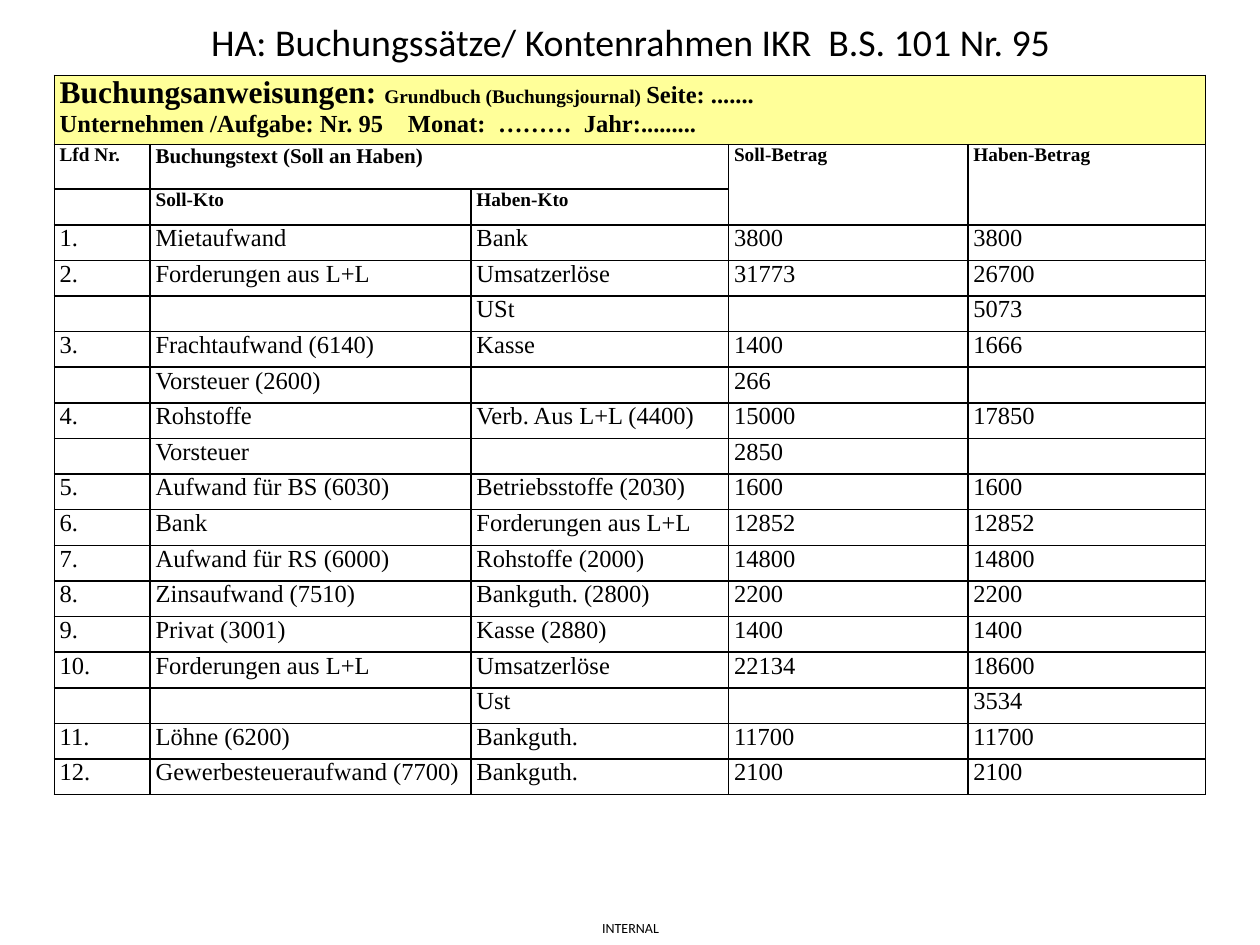
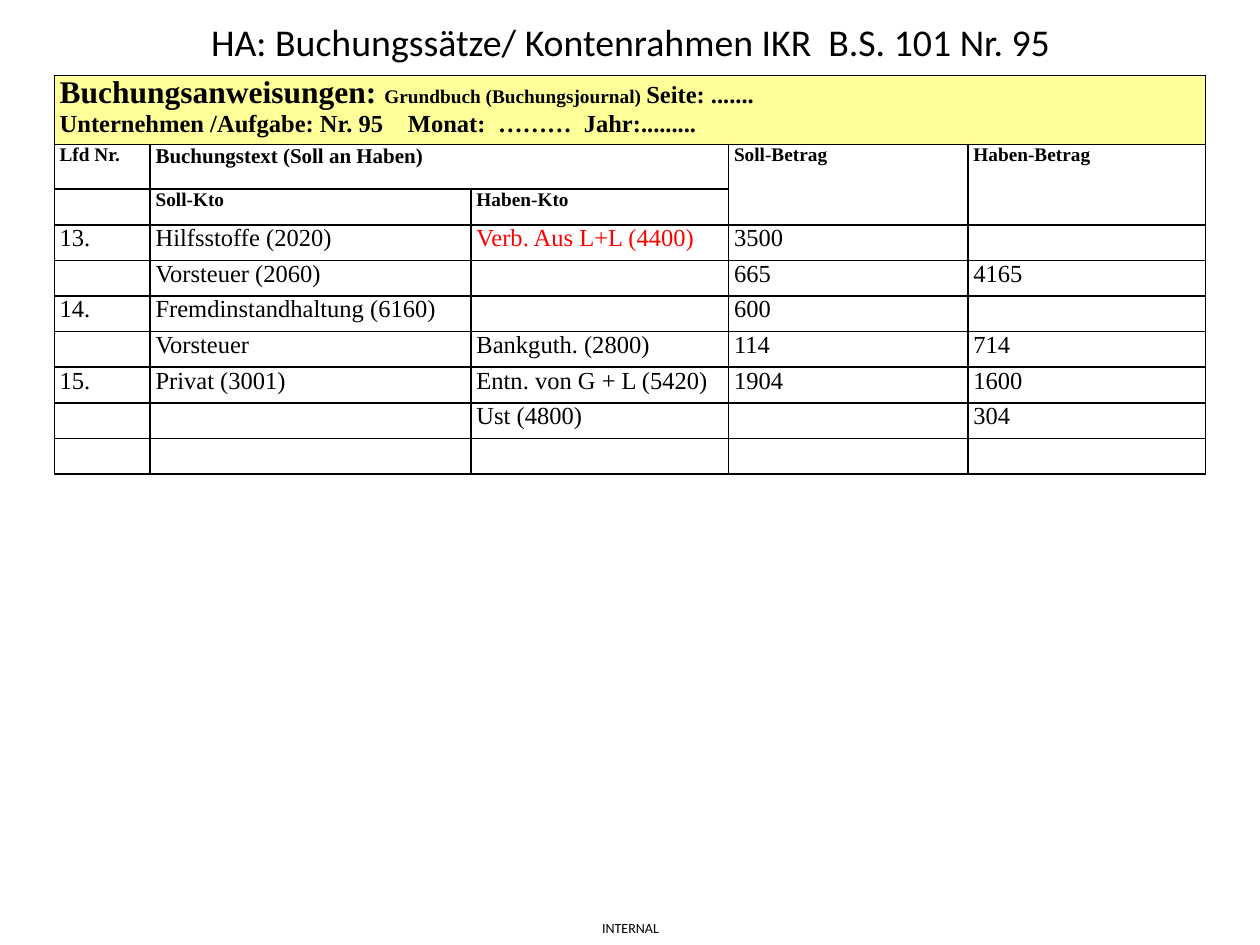
"""Builds two slides with the journal entries of a bookkeeping exercise."""
import pptx
import pptx.dml.color
import pptx.enum.text
import pptx.oxml.ns
import pptx.util
from lxml import etree

Pt = pptx.util.Pt
qn = pptx.oxml.ns.qn

COLORS = {"text": "000000", "band": "FFFF99", "highlight": "FF0000"}
TITLE_FONT = "Calibri"
TABLE_FONT = "Times New Roman"

TITLE = "HA: Buchungssätze/ Kontenrahmen IKR  B.S. 101 Nr. 95"
COLUMN_WIDTHS = [54.8, 183.4, 147.2, 136.8, 135.8]
BAND_HEIGHT, HEADING_HEIGHT, ROW_HEIGHT = 39.6, 25.4, 20.38
BAND_TABS = [199, 250.5, 299.5]
BAND_RUNS = [
    ("Buchungsanweisungen: ", 18),
    ("Grundbuch (Buchungsjournal) ", 11),
    ("Seite: .......\vUnternehmen /Aufgabe: Nr. 95\tMonat:\t………\tJahr:.........", 14),
]
HEADINGS = [
    ["Lfd Nr.", "Buchungstext (Soll an Haben)", "", "Soll-Betrag", "Haben-Betrag"],
    ["", "Soll-Kto", "Haben-Kto", "", ""],
]
AMOUNT_COLUMNS = (3, 4)

ENTRIES_1_TO_12 = [
    ["1.", "Mietaufwand", "Bank", "3800", "3800"],
    ["2.", "Forderungen aus L+L", "Umsatzerlöse", "31773", "26700"],
    ["", "", "USt", "", "5073"],
    ["3.", "Frachtaufwand (6140)", "Kasse", "1400", "1666"],
    ["", "Vorsteuer (2600)", "", "266", ""],
    ["4.", "Rohstoffe", "Verb. Aus L+L (4400)", "15000", "17850"],
    ["", "Vorsteuer", "", "2850", ""],
    ["5.", "Aufwand für BS (6030)", "Betriebsstoffe (2030)", "1600", "1600"],
    ["6.", "Bank", "Forderungen aus L+L", "12852", "12852"],
    ["7.", "Aufwand für RS (6000)", "Rohstoffe (2000)", "14800", "14800"],
    ["8.", "Zinsaufwand (7510)", "Bankguth. (2800)", "2200", "2200"],
    ["9.", "Privat (3001)", "Kasse (2880)", "1400", "1400"],
    ["10.", "Forderungen aus L+L", "Umsatzerlöse", "22134", "18600"],
    ["", "", "Ust", "", "3534"],
    ["11.", "Löhne (6200)", "Bankguth.", "11700", "11700"],
    ["12.", "Gewerbesteueraufwand (7700)", "Bankguth.", "2100", "2100"],
]
ENTRIES_13_TO_15 = [
    ["13.", "Hilfsstoffe (2020)", "Verb. Aus L+L (4400)", "3500", ""],
    ["", "Vorsteuer (2060)", "", "665", "4165"],
    ["14.", "Fremdinstandhaltung (6160)", "", "600", ""],
    ["", "Vorsteuer", "Bankguth. (2800)", "114", "714"],
    ["15.", "Privat (3001)", "Entn. von G + L (5420)", "1904", "1600"],
    ["", "", "Ust (4800)", "", "304"],
    [""] * 5,
]


class JournalDeck:
    def __init__(self):
        self.presentation = pptx.Presentation()
        self.presentation.slide_width = Pt(720)
        self.presentation.slide_height = Pt(540)
        self.slide = None

    def add_slide(self, entries, highlighted=()):
        self.slide = self.presentation.slides.add_slide(self.presentation.slide_layouts[5])
        self.add_footer()
        self.add_title()
        self.add_journal(entries, highlighted)

    def style(self, paragraph, size, name=TABLE_FONT, bold=False, color="text"):
        font = paragraph.font
        font.name, font.size, font.bold = name, Pt(size), bold
        font.color.rgb = pptx.dml.color.RGBColor.from_string(COLORS[color])

    def add_title(self):
        title = self.slide.shapes.title
        title.left, title.top, title.width, title.height = Pt(36.5), Pt(9.4), Pt(648), Pt(28)
        frame = title.text_frame
        frame.text = TITLE
        frame.auto_size = pptx.enum.text.MSO_AUTO_SIZE.NONE
        frame.vertical_anchor = pptx.enum.text.MSO_ANCHOR.MIDDLE
        paragraph = frame.paragraphs[0]
        paragraph.alignment = pptx.enum.text.PP_ALIGN.CENTER
        self.style(paragraph, 21.6, TITLE_FONT)

    def add_footer(self):
        frame = self.slide.shapes.add_textbox(Pt(344), Pt(525.6), Pt(34), Pt(9.6)).text_frame
        frame.margin_left = frame.margin_right = frame.margin_top = frame.margin_bottom = 0
        frame.text = "INTERNAL"
        self.style(frame.paragraphs[0], 8, TITLE_FONT)

    def add_journal(self, entries, highlighted):
        heights = [BAND_HEIGHT, HEADING_HEIGHT] + [ROW_HEIGHT] * (len(entries) + 1)
        table = self.slide.shapes.add_table(
            len(heights), len(COLUMN_WIDTHS), Pt(31), Pt(43.1),
            Pt(sum(COLUMN_WIDTHS)), Pt(sum(heights))).table
        table.first_row = table.horz_banding = False
        for column, width in zip(table.columns, COLUMN_WIDTHS):
            column.width = Pt(width)
        for row, height in zip(table.rows, heights):
            row.height = Pt(height)
        rows = [[""] * len(COLUMN_WIDTHS)] + HEADINGS + entries
        for row_index, texts in enumerate(rows):
            for column_index, text in enumerate(texts):
                is_heading = row_index < 3
                size = 14 if not is_heading else 12 if (row_index, column_index) == (1, 1) else 11
                open_edge = {1: "lnB", 2: "lnT"}.get(row_index) if column_index in AMOUNT_COLUMNS else None
                color = "highlight" if (row_index - 3, column_index) in highlighted else "text"
                self.fill_cell(table.cell(row_index, column_index), text, size, is_heading, color, open_edge)
        table.cell(0, 0).merge(table.cell(0, 4))
        table.cell(1, 1).merge(table.cell(1, 2))
        self.fill_band(table.cell(0, 0))

    def fill_cell(self, cell, text, size, bold, color, open_edge):
        cell.margin_left = cell.margin_right = Pt(3.1)
        cell.margin_top = cell.margin_bottom = 0
        self.add_borders(cell, open_edge)
        cell.fill.background()
        paragraph = cell.text_frame.paragraphs[0]
        if text:
            paragraph.text = text
        else:
            etree.SubElement(paragraph._p, qn("a:endParaRPr"), sz=str(size * 100))
        self.style(paragraph, size, bold=bold, color=color)

    def add_borders(self, cell, open_edge):
        properties = cell._tc.get_or_add_tcPr()
        for edge in ("lnL", "lnR", "lnT", "lnB"):
            line = etree.SubElement(properties, qn("a:" + edge), w=str(Pt(1)))
            if edge == open_edge:
                etree.SubElement(line, qn("a:noFill"))
            else:
                fill = etree.SubElement(line, qn("a:solidFill"))
                etree.SubElement(fill, qn("a:srgbClr"), val=COLORS["text"])

    def fill_band(self, cell):
        cell.fill.solid()
        cell.fill.fore_color.rgb = pptx.dml.color.RGBColor.from_string(COLORS["band"])
        paragraph = cell.text_frame.paragraphs[0]
        paragraph.clear()
        properties = paragraph._p.get_or_add_pPr()
        tab_list = etree.Element(qn("a:tabLst"))
        properties.insert(0, tab_list)
        for position in BAND_TABS:
            etree.SubElement(tab_list, qn("a:tab"), pos=str(Pt(position)), algn="l")
        self.style(paragraph, 14, bold=True)
        for text, size in BAND_RUNS:
            for index, line in enumerate(text.split("\v")):
                if index:
                    paragraph.add_line_break()
                run = paragraph.add_run()
                run.text = line
                run.font.size = Pt(size)


def main():
    deck = JournalDeck()
    deck.add_slide(ENTRIES_1_TO_12)
    deck.add_slide(ENTRIES_13_TO_15, highlighted={(0, 2)})
    deck.presentation.save("out.pptx")


if __name__ == "__main__":
    main()
